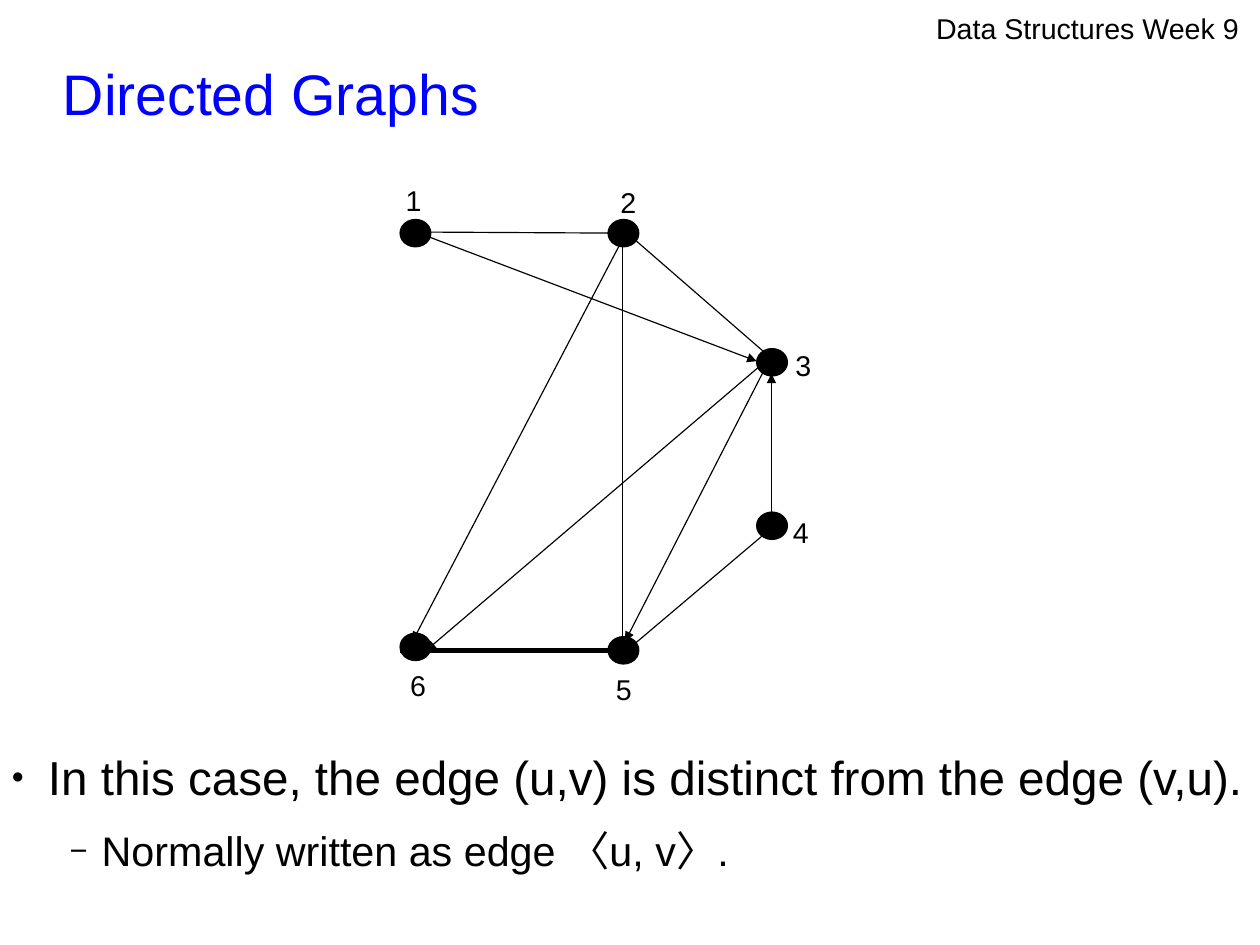
import pptx
import pptx.util
import pptx.dml.color
import pptx.enum.shapes
import pptx.enum.text
import pptx.oxml
import pptx.oxml.ns


def paint(code):
    return pptx.dml.color.RGBColor.from_string(code)


def add_tag(host, name, **attrs):
    tag = pptx.oxml.ns.qn(name)
    item = host.makeelement(tag, attrs)
    host.append(item)


class Board:
    font = "Arial"
    ink = "000000"
    blue = "0000FF"
    thin = 0.75
    cols, rows = 110.24, 82.68

    def __init__(self, deck):
        self.wide = deck.slide_width / self.cols
        self.high = deck.slide_height / self.rows
        self.slide = deck.slides.add_slide(deck.slide_layouts[6])
        self.items = self.slide.shapes

    def place(self, col, row):
        return round(col * self.wide), round(row * self.high)

    def text(self, box, words, sizes, color=ink, lead=None, pad=(0, 0), wrap=True):
        left, top, width, height = box
        shape = self.items.add_textbox(*self.place(left, top), *self.place(width, height))
        frame = shape.text_frame
        frame.word_wrap = wrap
        frame.margin_left = frame.margin_right = pptx.util.Inches(pad[0])
        frame.margin_top = frame.margin_bottom = pptx.util.Inches(pad[1])
        frame.text = words
        for para, size in zip(frame.paragraphs, sizes):
            if lead:
                para.line_spacing = lead
            for run in para.runs:
                run.font.name = self.font
                run.font.size = pptx.util.Pt(size)
                run.font.color.rgb = paint(color)
        return frame

    def bullet(self, para, level, mark, share, left, hang, after):
        para.level = level
        para.space_after = pptx.util.Pt(after)
        props = para._p.get_or_add_pPr()
        props.set("marL", str(pptx.util.Inches(left)))
        props.set("indent", str(-pptx.util.Inches(hang)))
        add_tag(props, "a:buSzPct", val=str(share * 1000))
        add_tag(props, "a:buFont", typeface=self.font)
        add_tag(props, "a:buChar", char=mark)

    def node(self, col, row):
        kind = pptx.enum.shapes.MSO_SHAPE.OVAL
        dot = self.items.add_shape(kind, *self.place(col, row), *self.place(2.7, 2.4))
        dot.shadow.inherit = False
        dot.fill.solid()
        dot.fill.fore_color.rgb = paint(self.ink)
        dot.line.color.rgb = paint(self.ink)
        dot.line.width = pptx.util.Pt(self.thin)

    def edge(self, start, end, width=thin):
        kind = pptx.enum.shapes.MSO_CONNECTOR.STRAIGHT
        link = self.items.add_connector(kind, *self.place(*start), *self.place(*end))
        link.line.color.rgb = paint(self.ink)
        link.line.width = pptx.util.Pt(width)
        add_tag(link.line._get_or_add_ln(), "a:tailEnd", type="triangle")
        add_tag(link._element.spPr, "a:effectLst")

    def label(self, col, row, name):
        self.text((col, row, 3.4, 4.1), name, [18], lead=1.04, pad=(0.1, 0.05), wrap=False)


def main():
    deck = pptx.Presentation()
    deck.slide_width = pptx.util.Cm(28)
    deck.slide_height = pptx.util.Cm(21)
    board = Board(deck)

    board.text((81.9, 1, 27.1, 3.3), "Data Structures Week 9", [18])
    title = board.text((5.5, 3.7, 98.9, 7.4), "Directed Graphs", [36], board.blue, 1.24)
    title.vertical_anchor = pptx.enum.text.MSO_ANCHOR.MIDDLE
    body = board.text(
        (0, 64.2, 110.2, 13.8),
        "In this case, the edge (u,v) is distinct from the edge (v,u).\n"
        "Normally written as edge 〈u, v〉.",
        [30, 26],
        lead=1.24,
    )
    first, second = body.paragraphs
    board.bullet(first, 0, "●", 45, 0.42, 0.32, 5.8)
    board.bullet(second, 1, "−", 75, 0.89, 0.28, 2.9)

    board.edge((35, 56.9), (54.5, 56.9), 2.89)
    for spot in [(53.2, 55.7), (66.2, 44.8), (35, 19.2), (53.2, 19.2), (66.2, 30.5)]:
        board.node(*spot)

    edges = [
        ((54.5, 21.1), (54.5, 56.9)),
        ((67.5, 46.7), (67.5, 32.7)),
        ((36.4, 20.3), (54.5, 20.4)),
        ((54.5, 57.2), (67.5, 46.2)),
        ((67.2, 31.1), (55, 20.5)),
        ((36.4, 20.3), (66.2, 31.6)),
        ((54.8, 20.3), (36.1, 56.1)),
        ((67, 32.1), (54.7, 56.1)),
        ((66.4, 32.1), (37.3, 56.9)),
    ]
    for start, end in edges:
        board.edge(start, end)

    labels = [(34.5, 15.4), (53.3, 15.6), (68.6, 29.8), (68.4, 44.4), (52.9, 58.2), (34.9, 57.8)]
    for number, spot in enumerate(labels, 1):
        board.label(*spot, str(number))
    board.node(35, 55.4)

    deck.save("out.pptx")


if __name__ == "__main__":
    main()
